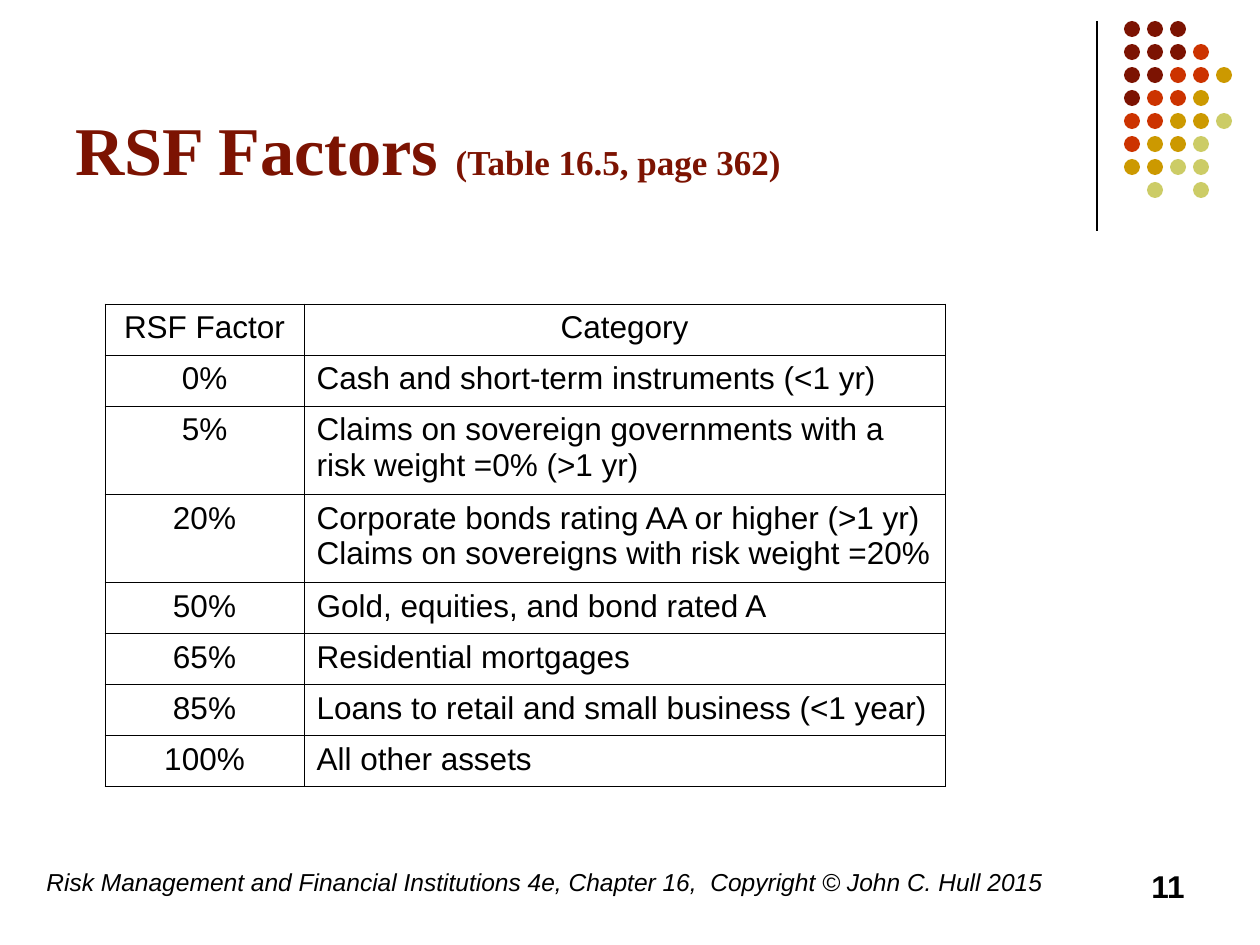
from dataclasses import dataclass
from typing import NamedTuple

from lxml import etree
from pptx import Presentation
from pptx.dml.color import RGBColor
from pptx.enum.shapes import MSO_CONNECTOR, MSO_SHAPE
from pptx.enum.text import MSO_ANCHOR, PP_ALIGN
from pptx.oxml.ns import qn
from pptx.util import Emu, Pt

LEFT, CENTER, RIGHT = PP_ALIGN.LEFT, PP_ALIGN.CENTER, PP_ALIGN.RIGHT
TOP, BOTTOM = MSO_ANCHOR.TOP, MSO_ANCHOR.BOTTOM
ELLIPSE = MSO_SHAPE.OVAL
STRAIGHT = MSO_CONNECTOR.STRAIGHT

PX_PER_INCH = 126


def px(length: int) -> Emu:
    return Emu(round(length * 914400 / PX_PER_INCH))


@dataclass(frozen=True)
class Theme:
    background: str = "FFFFFF"
    text: str = "000000"
    maroon: str = "7C1302"
    red: str = "CC3300"
    gold: str = "CC9900"
    olive: str = "CCCC66"
    heading_font: str = "Times New Roman"
    body_font: str = "Arial"
    title_size: int = 39
    reference_size: int = 20
    body_size: int = 18
    footer_size: int = 14
    rule_width: float = 0.75
    border_width: float = 0.45


THEME = Theme()


class Box(NamedTuple):
    left: int
    top: int
    width: int
    height: int

    def emu(self) -> tuple[Emu, ...]:
        return tuple(px(length) for length in self)


@dataclass(frozen=True)
class TextRun:
    text: str
    size: int = THEME.body_size
    font: str = THEME.body_font
    color: str = THEME.text
    bold: bool = False
    italic: bool = False


@dataclass(frozen=True)
class Label:
    box: Box
    runs: tuple[TextRun, ...]
    align: PP_ALIGN = LEFT
    anchor: MSO_ANCHOR = TOP


class FactorRow(NamedTuple):
    factor: str
    categories: tuple[str, ...]
    height: int = 51


LABELS = (
    Label(
        Box(63, 16, 1040, 179),
        (
            TextRun("RSF Factors ", THEME.title_size, THEME.heading_font, THEME.maroon, bold=True),
            TextRun("(Table 16.5, page 362)", THEME.reference_size, THEME.heading_font,
                    THEME.maroon, bold=True),
        ),
        anchor=BOTTOM,
    ),
    Label(
        Box(34, 861, 1042, 63),
        (TextRun("Risk Management and Financial Institutions 4e, Chapter 16,  "
                 "Copyright © John C. Hull 2015", THEME.footer_size, italic=True),),
    ),
    Label(Box(903, 861, 294, 63), (TextRun("11", bold=True),), align=RIGHT),
)

FACTOR_ROWS = (
    FactorRow("RSF Factor", ("Category",)),
    FactorRow("0%", ("Cash and short-term instruments (<1 yr)",)),
    FactorRow("5%", ("Claims on sovereign governments with a risk weight =0% (>1 yr)",), 88),
    FactorRow("20%", ("Corporate bonds rating AA or higher (>1 yr)",
                      "Claims on sovereigns with risk weight =20%"), 88),
    FactorRow("50%", ("Gold, equities, and bond rated A",)),
    FactorRow("65%", ("Residential mortgages",)),
    FactorRow("85%", ("Loans to retail and small business (<1 year)",)),
    FactorRow("100%", ("All other assets",)),
)
TABLE_LEFT, TABLE_TOP = 105, 304
COLUMN_WIDTHS = (199, 641)

DOT_COLORS = {"M": THEME.maroon, "R": THEME.red, "G": THEME.gold, "O": THEME.olive}
DOT_ROWS = ("MMM", "MMMR", "MMRRG", "MRRG", "RRGGO", "RGGO", "GGOO", " O O")
DOT_LEFT, DOT_TOP, DOT_SIZE, DOT_PITCH = 1124, 21, 16, 23


def add_run(paragraph, run_style: TextRun) -> None:
    run = paragraph.add_run()
    run.text = run_style.text
    font = run.font
    font.name, font.size = run_style.font, Pt(run_style.size)
    font.bold, font.italic = run_style.bold, run_style.italic
    font.color.rgb = RGBColor.from_string(run_style.color)


def add_label(slide, label: Label) -> None:
    frame = slide.shapes.add_textbox(*label.box.emu()).text_frame
    frame.word_wrap = True
    frame.vertical_anchor = label.anchor
    paragraph = frame.paragraphs[0]
    paragraph.alignment = label.align
    for run_style in label.runs:
        add_run(paragraph, run_style)


def add_rule(slide, x: int, top: int, bottom: int) -> None:
    rule = slide.shapes.add_connector(STRAIGHT, px(x), px(top), px(x), px(bottom))
    rule.line.color.rgb = RGBColor.from_string(THEME.text)
    rule.line.width = Pt(THEME.rule_width)
    etree.SubElement(rule._element.spPr, qn("a:effectLst"))


def add_dots(slide) -> None:
    for row, codes in enumerate(DOT_ROWS):
        for column, code in enumerate(codes):
            if code not in DOT_COLORS:
                continue
            box = Box(DOT_LEFT + column * DOT_PITCH, DOT_TOP + row * DOT_PITCH,
                      DOT_SIZE, DOT_SIZE)
            dot = slide.shapes.add_shape(ELLIPSE, *box.emu())
            dot.shadow.inherit = False
            dot.fill.solid()
            dot.fill.fore_color.rgb = RGBColor.from_string(DOT_COLORS[code])
            dot.line.fill.background()


def add_borders(cell) -> None:
    properties = cell._tc.get_or_add_tcPr()
    for position, side in enumerate(("lnL", "lnR", "lnT", "lnB")):
        border = etree.Element(qn(f"a:{side}"), w=str(Pt(THEME.border_width)))
        fill = etree.SubElement(border, qn("a:solidFill"))
        etree.SubElement(fill, qn("a:srgbClr"), val=THEME.text)
        properties.insert(position, border)


def fill_cell(cell, lines: tuple[str, ...], align: PP_ALIGN) -> None:
    cell.fill.background()
    add_borders(cell)
    for index, line in enumerate(lines):
        frame = cell.text_frame
        paragraph = frame.add_paragraph() if index else frame.paragraphs[0]
        paragraph.alignment = align
        add_run(paragraph, TextRun(line))


def add_factor_table(slide) -> None:
    box = Box(TABLE_LEFT, TABLE_TOP, sum(COLUMN_WIDTHS), sum(row.height for row in FACTOR_ROWS))
    table = slide.shapes.add_table(len(FACTOR_ROWS), len(COLUMN_WIDTHS), *box.emu()).table
    table.first_row = table.horz_banding = False
    for column, width in zip(table.columns, COLUMN_WIDTHS):
        column.width = px(width)
    for index, row in enumerate(FACTOR_ROWS):
        table.rows[index].height = px(row.height)
        fill_cell(table.cell(index, 0), (row.factor,), CENTER)
        fill_cell(table.cell(index, 1), row.categories, LEFT if index else CENTER)


def main() -> None:
    presentation = Presentation()
    presentation.slide_width, presentation.slide_height = px(1260), px(945)
    slide = presentation.slides.add_slide(presentation.slide_layouts[6])
    slide.background.fill.solid()
    slide.background.fill.fore_color.rgb = RGBColor.from_string(THEME.background)
    add_rule(slide, 1097, 21, 231)
    add_dots(slide)
    for label in LABELS:
        add_label(slide, label)
    add_factor_table(slide)
    presentation.save("out.pptx")


if __name__ == "__main__":
    main()
